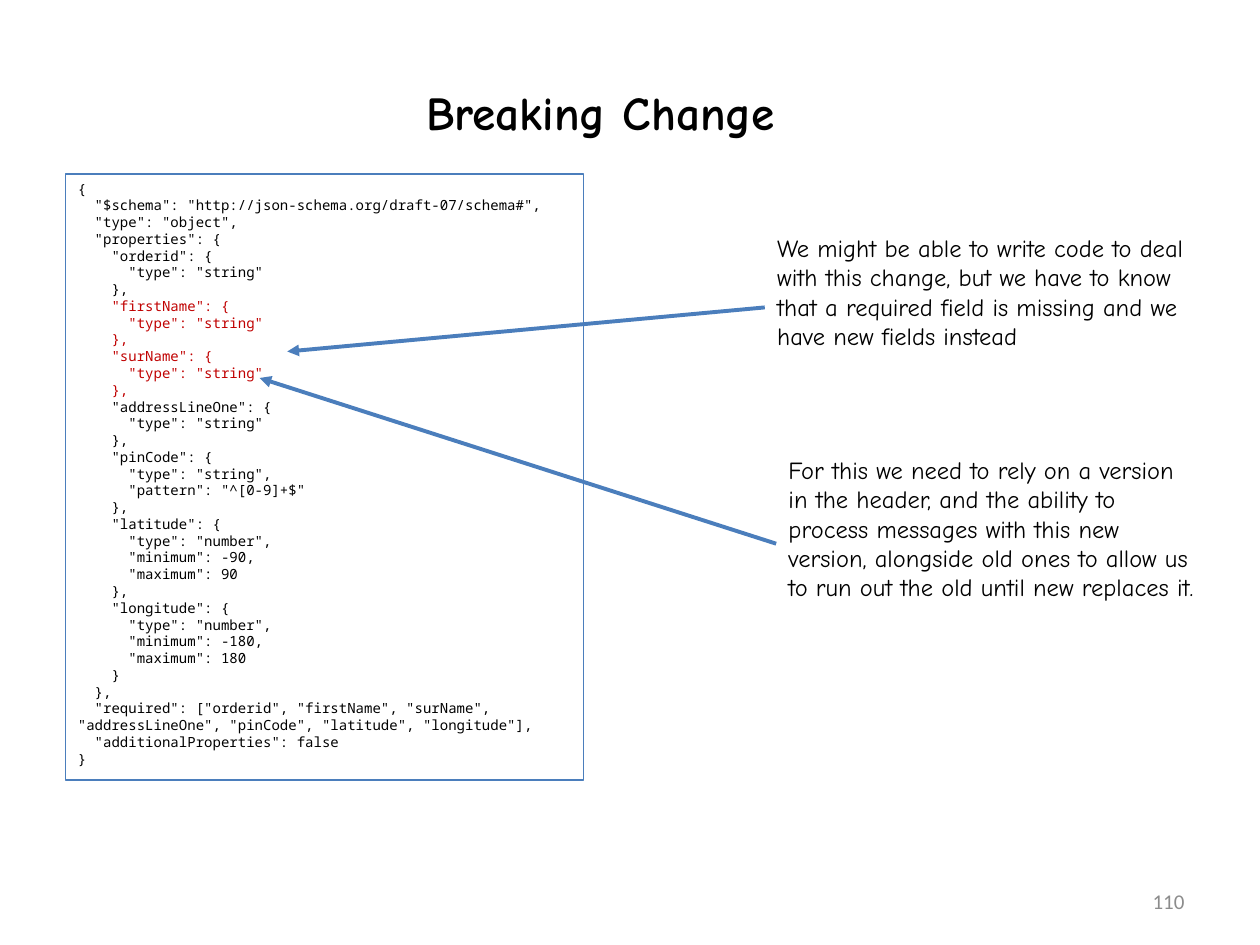
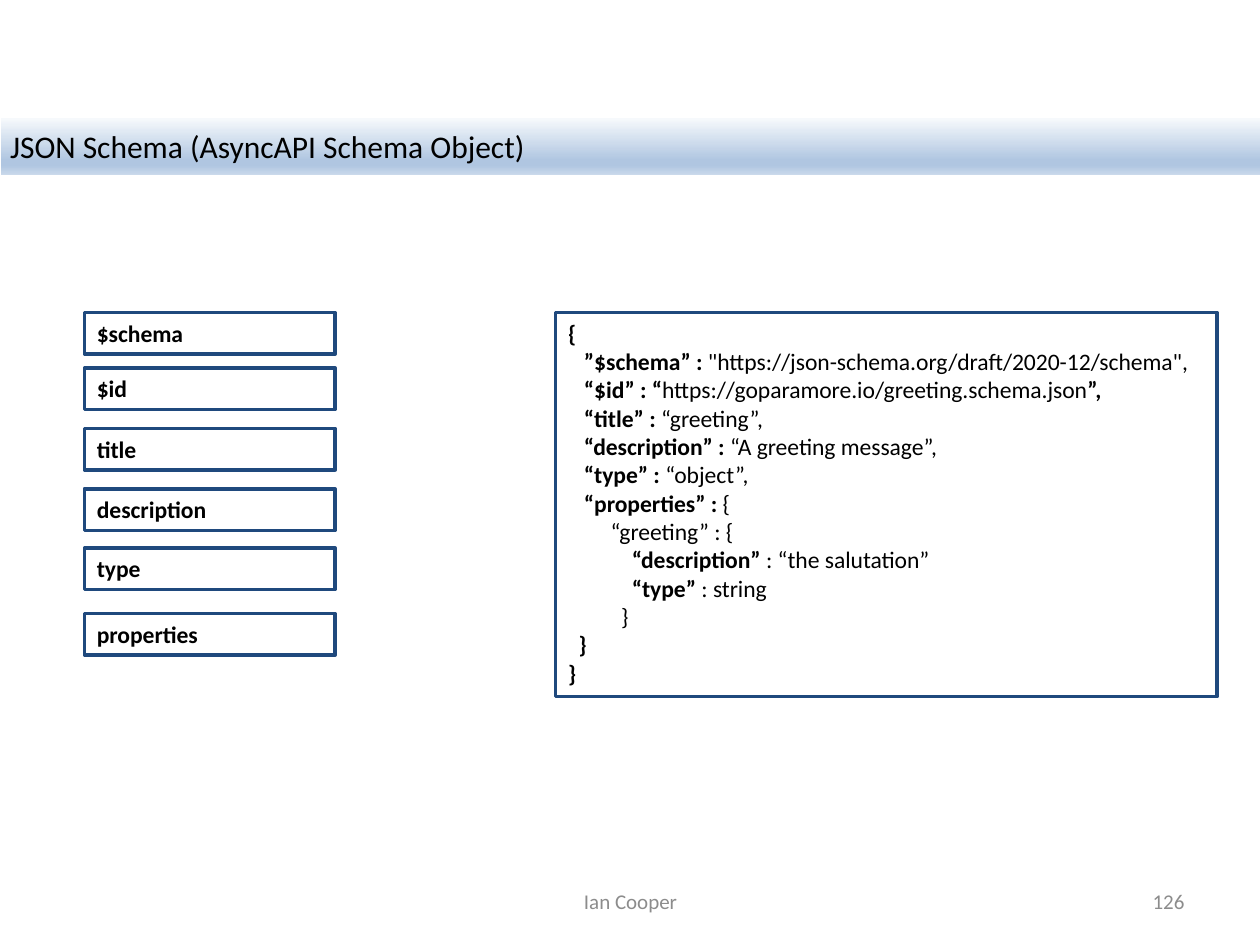
"""Build two slides on JSON schemas: a breaking change and the schema object."""
from dataclasses import dataclass, replace
from typing import NamedTuple

from lxml import etree
from pptx import Presentation
from pptx.dml.color import RGBColor
from pptx.enum.shapes import MSO_CONNECTOR, MSO_SHAPE
from pptx.enum.text import MSO_ANCHOR, MSO_AUTO_SIZE, PP_ALIGN
from pptx.oxml import parse_xml
from pptx.oxml.ns import nsdecls, qn
from pptx.util import Inches, Pt

RECT = MSO_SHAPE.RECTANGLE
STRAIGHT = MSO_CONNECTOR.STRAIGHT
TOP, MIDDLE = MSO_ANCHOR.TOP, MSO_ANCHOR.MIDDLE
LEFT, CENTER, RIGHT = PP_ALIGN.LEFT, PP_ALIGN.CENTER, PP_ALIGN.RIGHT
FIT_TEXT, NO_FIT = MSO_AUTO_SIZE.SHAPE_TO_FIT_TEXT, MSO_AUTO_SIZE.NONE


@dataclass(frozen=True)
class TextStyle:
    """Font, size, colour and alignment of a paragraph."""
    font: str
    size: float
    color: str = "000000"
    bold: bool = False
    align: PP_ALIGN = LEFT


@dataclass(frozen=True)
class Theme:
    """Colours and text styles shared by the slides."""
    accent: str = "4B7EBC"
    navy: str = "1F497D"
    band: tuple = ((0, "F6F9FC"), (74, "B0C6E1"), (83, "B0C6E1"), (100, "CAD9EB"))
    title: TextStyle = TextStyle("Comic Neue", 27, bold=True, align=CENTER)
    note: TextStyle = TextStyle("Comic Neue", 14)
    code: TextStyle = TextStyle("Noto Sans Mono", 8)
    changed: TextStyle = TextStyle("Noto Sans Mono", 8, "C00000")
    heading: TextStyle = TextStyle("Calibri", 18)
    body: TextStyle = TextStyle("Calibri", 13.5)
    label: TextStyle = TextStyle("Calibri", 13.5, bold=True)
    footer: TextStyle = TextStyle("Calibri", 12, "8C8C8C")


THEME = Theme()


class Box(NamedTuple):
    """Left, top, width and height in inches."""
    left: float
    top: float
    width: float
    height: float

    def lengths(self) -> list:
        """Return the four values as lengths."""
        return [Inches(v) for v in self]


class Note(NamedTuple):
    """A remark with an arrow from its left edge to a line of code."""
    box: Box
    text: str
    target: tuple


TITLE_BOX = Box(2.9, 0.61, 3.73, 0.56)
BAND_BOX = Box(0.01, 0.94, 9.99, 0.45)
AUTHOR_BOX = Box(3.42, 6.95, 3.17, 0.4)
NUMBER_BOX = Box(7.17, 6.95, 2.33, 0.4)
ORDER_BOX = Box(0.52, 1.38, 4.11, 4.81)
GREETING_BOX = Box(4.41, 2.48, 5.25, 3.05)

ORDER_SCHEMA = """{
  "$schema": "http://json-schema.org/draft-07/schema#",
  "type": "object",
  "properties": {
    "orderid": {
      "type": "string"
    },
    "firstName": {
      "type": "string"
    },
    "surName": {
      "type": "string"
    },
    "addressLineOne": {
      "type": "string"
    },
    "pinCode": {
      "type": "string",
      "pattern": "^[0-9]+$"
    },
    "latitude": {
      "type": "number",
      "minimum": -90,
      "maximum": 90
    },
    "longitude": {
      "type": "number",
      "minimum": -180,
      "maximum": 180
    }
  },
  "required": ["orderid", "firstName", "surName", "addressLineOne", "pinCode", "latitude", "longitude"],
  "additionalProperties": false
}"""
CHANGED_LINES = range(7, 13)

GREETING_SCHEMA = """**{**
**   ”$schema” : **"https://json-schema.org/draft/2020-12/schema",
**   “$id” : “**https://goparamore.io/greeting.schema.json**”,**
**   “title” : **“greeting”,
**   “description” : **“A greeting message”,
**   “type” : **“object”,
**   “properties” : **{
        “greeting” : {
            **“description”** : “the salutation”
            **“type”** : string
          }
**  }**
**}**"""

NOTES = (
    Note(Box(6.07, 1.8, 3.43, 1.28),
         "We might be able to write code to deal with this change, but we have to know "
         "that a required field is missing and we have new fields instead",
         (2.28, 2.79)),
    Note(Box(6.16, 3.56, 3.43, 1.51),
         "For this we need to rely on a version in the header, and the ability to process "
         "messages with this new version, alongside old ones to allow us to run out the "
         "old until new replaces it.",
         (2.06, 3)),
)

KEYWORD_TOPS = {"$schema": 2.48, "$id": 2.92, "title": 3.4,
                "description": 3.88, "type": 4.35, "properties": 4.87}


def write(shape, lines: list, anchor=TOP, fit=FIT_TEXT) -> None:
    """Write (text, style) lines, with ** switching bold on and off."""
    tf = shape.text_frame
    tf.word_wrap, tf.auto_size, tf.vertical_anchor = True, fit, anchor
    for i, (text, style) in enumerate(lines):
        p = tf.paragraphs[0] if i == 0 else tf.add_paragraph()
        p.alignment = style.align
        parts = [(part, j % 2 == 1) for j, part in enumerate(text.split("**")) if part]
        for part, strong in parts:
            r = p.add_run()
            r.text = part
            if len(parts) > 1:
                r.font.bold = strong
        font = p.font
        font.name, font.size = style.font, Pt(style.size)
        font.color.rgb = RGBColor.from_string(style.color)
        if len(parts) == 1:
            font.bold = style.bold or parts[0][1]


def add_text(s, box: Box, text: str, style: TextStyle, anchor=TOP, fit=FIT_TEXT) -> None:
    """Add a text box holding one paragraph."""
    write(s.shapes.add_textbox(*box.lengths()), [(text, style)], anchor, fit)


def add_frame(s, box: Box, lines: list, color: str, width: float) -> None:
    """Add an unfilled outlined rectangle with text."""
    sp = s.shapes.add_shape(RECT, *box.lengths())
    sp.shadow.inherit = False
    sp.fill.background()
    sp.line.color.rgb = RGBColor.from_string(color)
    sp.line.width = Pt(width)
    write(sp, lines)


def add_band(s, text: str) -> None:
    """Add the full-width gradient heading band."""
    sp = s.shapes.add_shape(RECT, *BAND_BOX.lengths())
    sp.shadow.inherit = False
    sp.line.fill.background()
    stops = "".join(f'<a:gs pos="{pos * 1000}"><a:srgbClr val="{color}"/></a:gs>'
                    for pos, color in THEME.band)
    gradient = parse_xml(f'<a:gradFill {nsdecls("a")} rotWithShape="1"><a:gsLst>{stops}</a:gsLst>'
                         '<a:lin ang="5400000" scaled="0"/></a:gradFill>')
    sp.element.spPr.find(qn("a:prstGeom")).addnext(gradient)
    tf = sp.text_frame
    tf.margin_left = tf.margin_right = tf.margin_top = tf.margin_bottom = Inches(0.07)
    write(sp, [(text, THEME.heading)])


def add_note(s, note: Note) -> None:
    """Add a remark and its arrow."""
    box = note.box
    add_text(s, box, note.text, THEME.note)
    start = (box.left, box.top + box.height / 2)
    line = s.shapes.add_connector(STRAIGHT, *(Inches(v) for v in start + note.target))
    line.line.color.rgb = RGBColor.from_string(THEME.accent)
    line.line.width = Pt(2.25)
    etree.SubElement(line.line._get_or_add_ln(), qn("a:tailEnd"), type="triangle")
    etree.SubElement(line.element.spPr, qn("a:effectLst"))


def add_footer(s, number: int, author: str = "") -> None:
    """Add the slide number and, if given, the author."""
    if author:
        add_text(s, AUTHOR_BOX, author, replace(THEME.footer, align=CENTER), MIDDLE, NO_FIT)
    add_text(s, NUMBER_BOX, str(number), replace(THEME.footer, align=RIGHT), MIDDLE, NO_FIT)


def breaking_change_slide(s) -> None:
    """Show the changed order schema with two remarks."""
    add_footer(s, 110)
    add_text(s, TITLE_BOX, "Breaking Change", THEME.title)
    lines = [(text, THEME.changed if i in CHANGED_LINES else THEME.code)
             for i, text in enumerate(ORDER_SCHEMA.splitlines())]
    add_frame(s, ORDER_BOX, lines, THEME.accent, 0.75)
    for note in NOTES:
        add_note(s, note)


def schema_object_slide(s) -> None:
    """Show the schema keywords beside an example."""
    add_footer(s, 126, "Ian Cooper")
    add_band(s, "JSON Schema (AsyncAPI Schema Object)")
    for keyword, top in KEYWORD_TOPS.items():
        add_frame(s, Box(0.67, top, 1.99, 0.33), [(keyword, THEME.label)], THEME.navy, 2)
    lines = [(text, THEME.body) for text in GREETING_SCHEMA.splitlines()]
    add_frame(s, GREETING_BOX, lines, THEME.navy, 2)


def main() -> None:
    """Build and save the presentation."""
    prs = Presentation()
    prs.slide_width, prs.slide_height = Inches(10), Inches(7.5)
    for build in (breaking_change_slide, schema_object_slide):
        build(prs.slides.add_slide(prs.slide_layouts[6]))
    prs.save("out.pptx")


if __name__ == "__main__":
    main()
